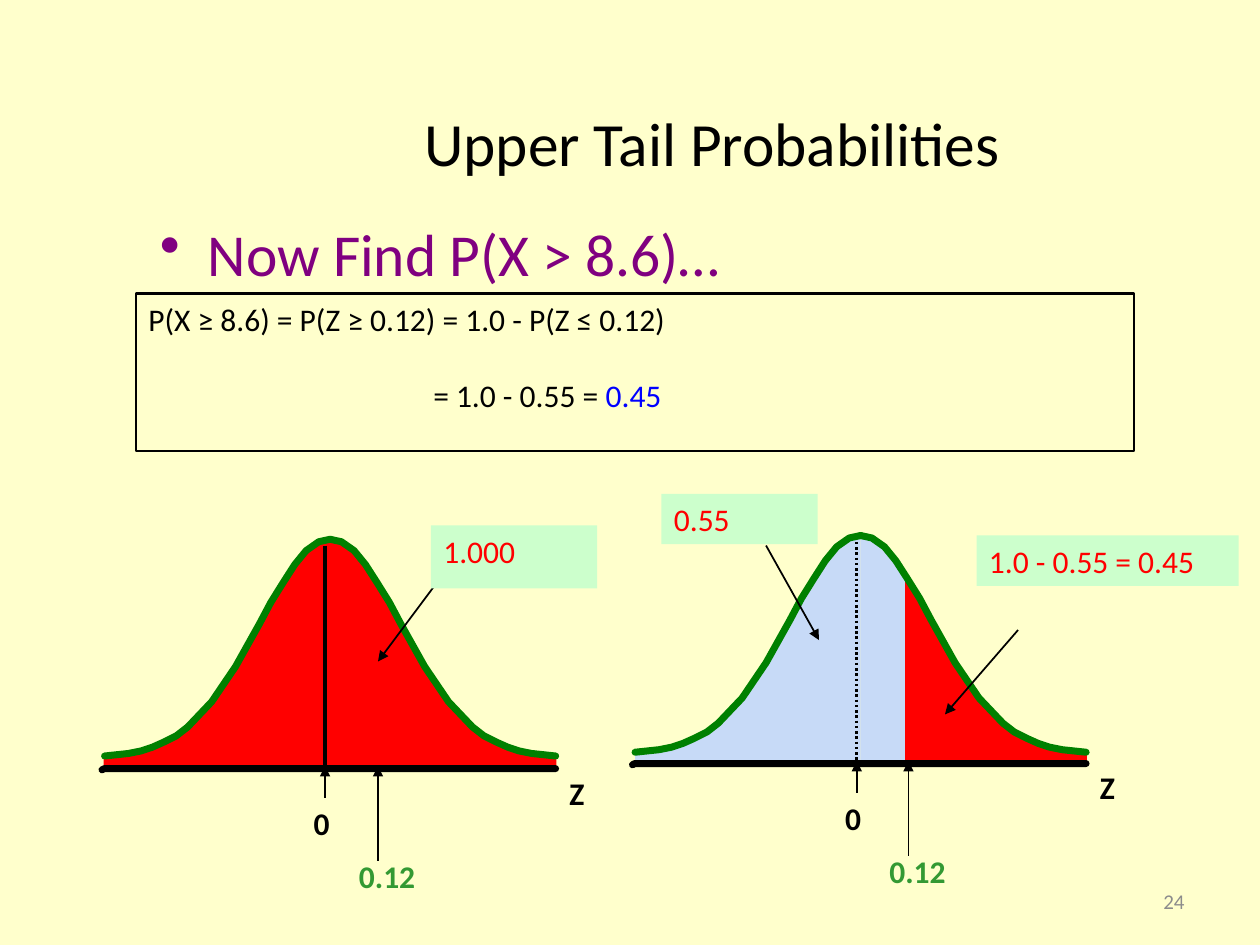
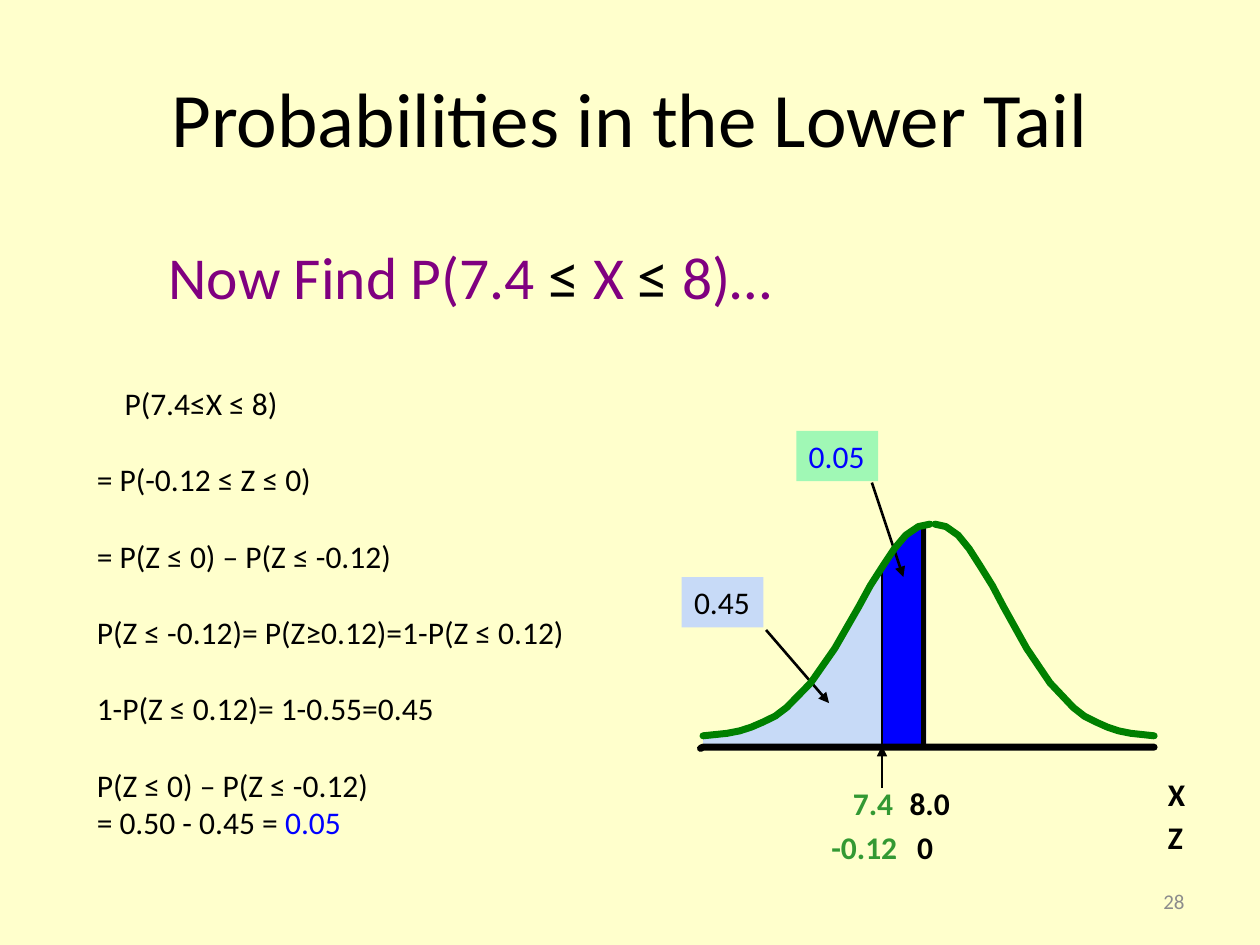
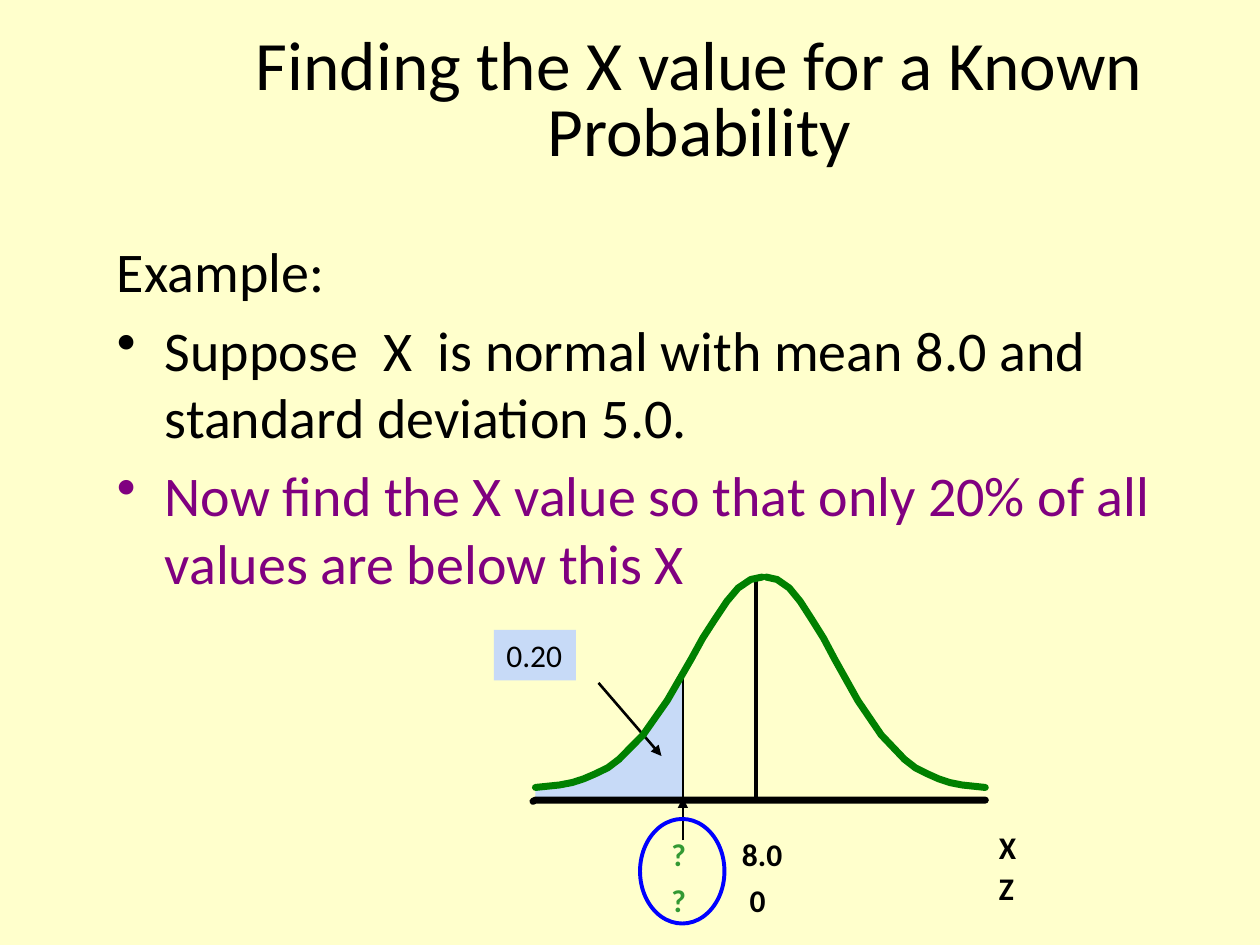
from dataclasses import dataclass

from lxml import etree
from pptx import Presentation
from pptx import util as u
from pptx.dml.color import RGBColor
from pptx.enum import dml, shapes, text
from pptx.oxml.ns import qn


@dataclass(frozen=True)
class Theme:
    """Colours and type sizes shared by the slides."""
    font: str = "Calibri"
    paper: str = "FFFFCC"
    ink: str = "000000"
    purple: str = "800080"
    blue: str = "0000FF"
    red: str = "FF0000"
    curve: str = "008000"
    value: str = "339933"
    sky: str = "C7DAF7"
    mint: str = "CCFFCC"
    aqua: str = "A0F8B5"
    grey: str = "8C8C8C"
    title: float = 44
    title_mid: float = 39.6
    title_small: float = 35.1
    lead: float = 34
    symbol: float = 36
    body: float = 32
    small: float = 18
    number: float = 12
    blank_line: float = 22


T = Theme()
LABEL_H = 0.4
STEPS = [0, 0.19, 0.29, 0.38, 0.47, 0.57, 0.66, 0.85, 1.04, 1.23, 1.32,
         1.42, 1.51, 1.6, 1.7, 1.79]
DROPS = [1.72, 1.7, 1.68, 1.65, 1.61, 1.56, 1.49, 1.29, 1.01, 0.67, 0.5,
         0.34, 0.2, 0.09, 0.02, 0]


@dataclass(frozen=True)
class Bell:
    """A bell curve: its tails, its peak, its top, its depth and its axis."""
    left: float
    peak_left: float
    peak_right: float
    right: float
    top: float
    depth: float
    axis: float

    def half(self, tail, peak):
        """Return the points from one tail up to the peak."""
        return [(tail + (peak - tail) * x / STEPS[-1],
                 self.top + self.depth * y / DROPS[0])
                for x, y in zip(STEPS, DROPS)]

    def halves(self):
        """Return the rising and the falling half."""
        return (self.half(self.left, self.peak_left),
                self.half(self.right, self.peak_right))

    def points(self):
        """Return the whole curve from left to right."""
        rise, fall = self.halves()
        return rise + fall[::-1]

    def y_at(self, x):
        """Return the height of the curve at x."""
        pts = self.points()
        for (x1, y1), (x2, y2) in zip(pts, pts[1:]):
            if x1 <= x <= x2 and x2 > x1:
                return y1 + (y2 - y1) * (x - x1) / (x2 - x1)
        return pts[-1][1]


def rgb(color):
    """Return a colour object."""
    return RGBColor.from_string(color)


def box(left, top, width, height):
    """Return a frame in inches."""
    return [u.Inches(v) for v in (left, top, width, height)]


def add_par(tf, runs, size, bold=False, left=0, hang=0, before=0,
            bullet=False, align=text.PP_ALIGN.LEFT):
    """Add a paragraph made of (text, colour[, size]) runs."""
    p = tf.paragraphs[0]
    if p.runs:
        p = tf.add_paragraph()
    p.alignment = align
    p.space_before = u.Pt(before)
    pPr = p._p.get_or_add_pPr()
    pPr.set("marL", str(u.Inches(left)))
    pPr.set("indent", str(-u.Inches(hang)))
    if bullet:
        etree.SubElement(pPr, qn("a:buChar")).set("char", "•")
    for words, color, *own in runs:
        r = p.add_run()
        r.text = words
        r.font.name = T.font
        r.font.size = u.Pt(own[0] if own else size)
        r.font.bold = bold
        r.font.color.rgb = rgb(color)
    return p


def add_text(slide, frame):
    """Add a wrapping text box and return its text frame."""
    tf = slide.shapes.add_textbox(*box(*frame)).text_frame
    tf.word_wrap = True
    return tf


def add_title(slide, words, frame, size, anchor=text.MSO_ANCHOR.MIDDLE,
              spacing=1.0):
    """Place and format the title placeholder."""
    sp = slide.shapes.title
    sp.left, sp.top, sp.width, sp.height = box(*frame)
    tf = sp.text_frame
    tf.auto_size = text.MSO_AUTO_SIZE.NONE
    tf.vertical_anchor = anchor
    if anchor == text.MSO_ANCHOR.BOTTOM:
        tf.margin_bottom = 0
    p = add_par(tf, [(words, T.ink)], size, align=text.PP_ALIGN.CENTER)
    p.line_spacing = spacing


def add_number(slide, number):
    """Add the slide number."""
    tf = add_text(slide, (7.17, 6.95, 2.33, 0.4))
    tf.vertical_anchor = text.MSO_ANCHOR.MIDDLE
    add_par(tf, [(number, T.grey)], T.number, align=text.PP_ALIGN.RIGHT)


def add_label(slide, words, left, top, width=0.42, color=T.ink):
    """Add a bold label beside an axis."""
    tf = add_text(slide, (left, top, width, LABEL_H))
    add_par(tf, [(words, color)], T.small, bold=True)


def style(sp, fill=None, line=None, width=1):
    """Set fill and outline, and drop the shadow."""
    sp.shadow.inherit = False
    if fill:
        sp.fill.solid()
        sp.fill.fore_color.rgb = rgb(fill)
    else:
        sp.fill.background()
    if line:
        sp.line.color.rgb = rgb(line)
        sp.line.width = u.Pt(width)
    else:
        sp.line.fill.background()


def add_outline(slide, kind, frame, line, width):
    """Add an unfilled preset shape."""
    style(slide.shapes.add_shape(kind, *box(*frame)), None, line, width)


def add_callout(slide, words, frame, fill, color):
    """Add a filled box holding a probability."""
    sp = slide.shapes.add_shape(shapes.MSO_SHAPE.RECTANGLE, *box(*frame))
    style(sp, fill)
    tf = sp.text_frame
    tf.word_wrap = True
    tf.vertical_anchor = text.MSO_ANCHOR.TOP
    add_par(tf, [(words, color)], T.small)


def add_line(slide, start, end, width=1, arrow=False, dash=None):
    """Add a straight black line, with or without an arrowhead."""
    sp = slide.shapes.add_connector(shapes.MSO_CONNECTOR.STRAIGHT,
                                    *box(*start, *end))
    sp.line.color.rgb = rgb(T.ink)
    sp.line.width = u.Pt(width)
    if dash:
        sp.line.dash_style = dash
    spPr = sp._element.spPr
    if arrow:
        ln = spPr.find(qn("a:ln"))
        etree.SubElement(ln, qn("a:tailEnd")).set("type", "triangle")
    etree.SubElement(spPr, qn("a:effectLst"))


def add_path(slide, pts, close=False):
    """Add a freeform through points in inches."""
    pts = [(u.Inches(x), u.Inches(y)) for x, y in pts]
    builder = slide.shapes.build_freeform(*pts[0])
    builder.add_line_segments(pts[1:], close=close)
    return builder.convert_to_shape()


def add_area(slide, bell, start, end, fill, line=None):
    """Fill the area under a bell between two x values."""
    inner = [pt for pt in bell.points() if start < pt[0] < end]
    pts = [(start, bell.axis), (start, bell.y_at(start)), *inner,
           (end, bell.y_at(end)), (end, bell.axis)]
    style(add_path(slide, pts, close=True), fill, line)


def add_bell(slide, bell):
    """Draw both halves of a bell and its axis."""
    axis = [(bell.left - 0.02, bell.axis + 0.01), (bell.left, bell.axis),
            (bell.right, bell.axis)]
    rise, fall = bell.halves()
    for pts, color in ((fall, T.curve), (rise, T.curve), (axis, T.ink)):
        sp = add_path(slide, pts)
        style(sp, None, color, 4)
        sp._element.spPr.find(qn("a:ln")).set("cap", "rnd")


def new_slide(prs):
    """Add a title-only slide."""
    return prs.slides.add_slide(prs.slide_layouts[5])


def upper_tail(prs):
    """Build the slide on upper tail probabilities."""
    s = new_slide(prs)
    add_title(s, "Upper Tail Probabilities", (1.97, 0.25, 7.36, 1.17),
              T.title_small, text.MSO_ANCHOR.BOTTOM)
    add_par(add_text(s, (1.17, 1.67, 5.75, 0.75)),
            [("Now Find P(X > 8.6)…", T.purple)], T.lead,
            left=0.38, hang=0.38, before=6.8, bullet=True)
    tf = add_text(s, (0.92, 2.33, 8.42, 1.01))
    add_par(tf, [("P(X ≥ 8.6) = P(Z ≥ 0.12) = 1.0 - P(Z ≤ 0.12)", T.ink)],
            T.small, left=0.16)
    add_par(tf, [("= 1.0 - 0.55 = ", T.ink), ("0.45", T.blue)],
            T.small, left=2.42, before=T.blank_line)
    add_outline(s, shapes.MSO_SHAPE.RECTANGLE, (1.08, 2.33, 7.92, 1.25),
                T.ink, 1.5)

    whole = Bell(0.83, 2.62, 2.62, 4.41, 4.28, 1.72, 6.1)
    split = Bell(5.04, 6.83, 6.83, 8.62, 4.25, 1.72, 6.06)
    add_area(s, whole, whole.left, 2.58, T.red, T.red)
    add_area(s, whole, 2.58, whole.right, T.red, T.red)
    add_area(s, split, split.left, 6.83, T.sky)
    add_area(s, split, 6.83, 7.19, T.sky)
    add_area(s, split, 7.19, split.right, T.red, T.red)
    add_line(s, (2.58, 4.33), (2.58, 6.08), 2.5)
    add_line(s, (6.8, 4.3), (6.8, 6.05), 1.5,
             dash=dml.MSO_LINE.ROUND_DOT)
    for bell, mean, cut in ((whole, 2.58, 3), (split, 6.8, 7.21)):
        add_bell(s, bell)
        tip = bell.axis - 0.02
        add_line(s, (mean, tip + 0.25), (mean, tip), arrow=True)
        add_line(s, (cut, tip + 0.75), (cut, tip), arrow=True)
        add_label(s, "Z", bell.right + 0.01, bell.axis - 0.01)
        add_label(s, "0", mean - 0.19, tip + 0.25, 0.35)
        add_label(s, "0.12", cut - 0.25, tip + 0.67, 0.68, T.value)
    for start, end in (((3.5, 4.58), (3, 5.25)), ((6.08, 4.33), (6.5, 5.08)),
                       ((8.08, 5), (7.5, 5.67))):
        add_line(s, start, end, arrow=True)
    for words, frame in (("1.000", (3.42, 4.17, 1.32, 0.5)),
                         ("0.55", (5.25, 3.92, 1.24, LABEL_H)),
                         ("1.0 - 0.55 = 0.45", (7.75, 4.25, 2.08, LABEL_H))):
        add_callout(s, words, frame, T.mint, T.red)
    add_number(s, "24")


def lower_tail(prs):
    """Build the slide on probabilities in the lower tail."""
    s = new_slide(prs)
    add_title(s, "Probabilities in the Lower Tail", (0.5, 0.3, 9, 1.25),
              T.title)
    add_par(add_text(s, (0.92, 1.83, 8.83, 4.96)),
            [("Now Find P(7.4 ", T.purple), ("≤", T.ink, T.symbol),
             (" X ", T.purple), ("≤", T.ink, T.symbol), (" 8)…", T.purple)],
            T.lead, left=0.32, before=6.8)
    tf = add_text(s, (0.67, 3, 4.33, 3.74))
    add_par(tf, [("P(7.4≤X ≤ 8)", T.ink)], T.small, left=0.22)
    for words in ("= P(-0.12 ≤ Z ≤ 0)", "= P(Z ≤ 0) – P(Z ≤ -0.12)",
                  "P(Z ≤ -0.12)= P(Z≥0.12)=1-P(Z ≤ 0.12)",
                  "1-P(Z ≤ 0.12)= 1-0.55=0.45", "P(Z ≤ 0) – P(Z ≤ -0.12)"):
        add_par(tf, [(words, T.ink)], T.small, before=T.blank_line)
    add_par(tf, [("= 0.50 - 0.45 = ", T.ink), ("0.05", T.blue)], T.small)

    bell = Bell(5.58, 7.38, 7.42, 9.16, 4.16, 1.68, 5.93)
    add_area(s, bell, bell.left, 7, T.sky)
    add_area(s, bell, 7, 7.35, T.blue)
    add_line(s, (7.33, 4.17), (7.33, 5.92), 2.5)
    add_line(s, (7, 4.5), (7, 5.92))
    add_line(s, (6.08, 5), (6.58, 5.58), 1.5, arrow=True)
    add_line(s, (6.92, 3.83), (7.17, 4.58), 1.5, arrow=True)
    add_bell(s, bell)
    add_line(s, (7, 6.25), (7, 5.92), arrow=True)
    add_callout(s, "0.05", (6.32, 3.42, 0.65, LABEL_H), T.aqua, T.blue)
    add_callout(s, "0.45", (5.41, 4.58, 0.65, LABEL_H), T.sky, T.ink)
    add_label(s, "X", 9.17, 6.1)
    add_label(s, "Z", 9.17, 6.44)
    add_label(s, "7.4", 6.67, 6.17, 0.55, T.value)
    add_label(s, "8.0", 7.12, 6.17, 0.55)
    add_label(s, "-0.12", 6.5, 6.52, 0.77, T.value)
    add_label(s, "0", 7.18, 6.52, 0.35)
    add_number(s, "28")


def known_probability(prs):
    """Build the slide on finding X for a known probability."""
    s = new_slide(prs)
    add_title(s, "Finding the X value for a Known Probability",
              (1.93, 0.35, 7.24, 0.94), T.title_mid, spacing=0.8)
    tf = add_text(s, (0.83, 1.83, 8.83, 4.96))
    for words, color, bullet in (
            ("Example:", T.ink, False),
            ("Suppose  X  is normal with mean 8.0 and standard deviation "
             "5.0.", T.ink, True),
            ("Now find the X value so that only 20% of all values are below "
             "this X", T.purple, True)):
        add_par(tf, [(words, color)], T.body, left=0.38, hang=0.38,
                before=6.4, bullet=bullet)

    bell = Bell(4.25, 6.05, 6.08, 7.82, 4.58, 1.67, 6.35)
    add_area(s, bell, bell.left, 5.42, T.sky)
    add_line(s, (5.42, 5.33), (5.42, 6.33))
    add_line(s, (4.75, 5.42), (5.25, 6), 1.5, arrow=True)
    add_line(s, (6, 4.58), (6, 6.33), 2.5)
    add_bell(s, bell)
    add_line(s, (5.42, 6.67), (5.42, 6.33), arrow=True)
    add_callout(s, "0.20", (3.92, 5, 0.65, LABEL_H), T.sky, T.ink)
    add_label(s, "X", 7.83, 6.52)
    add_label(s, "Z", 7.83, 6.85)
    for top in (6.58, 6.94):
        add_label(s, "?", 5.23, top, 0.35, T.value)
    add_label(s, "8.0", 5.79, 6.58, 0.55)
    add_label(s, "0", 5.85, 6.94, 0.35)
    add_outline(s, shapes.MSO_SHAPE.OVAL, (5.08, 6.5, 0.67, 0.83),
                T.blue, 2.25)


def main():
    """Build and save the slides."""
    prs = Presentation()
    prs.slide_width, prs.slide_height = u.Inches(10), u.Inches(7.5)
    fill = prs.slide_master.background.fill
    fill.solid()
    fill.fore_color.rgb = rgb(T.paper)
    upper_tail(prs)
    lower_tail(prs)
    known_probability(prs)
    prs.save("out.pptx")


if __name__ == "__main__":
    main()
